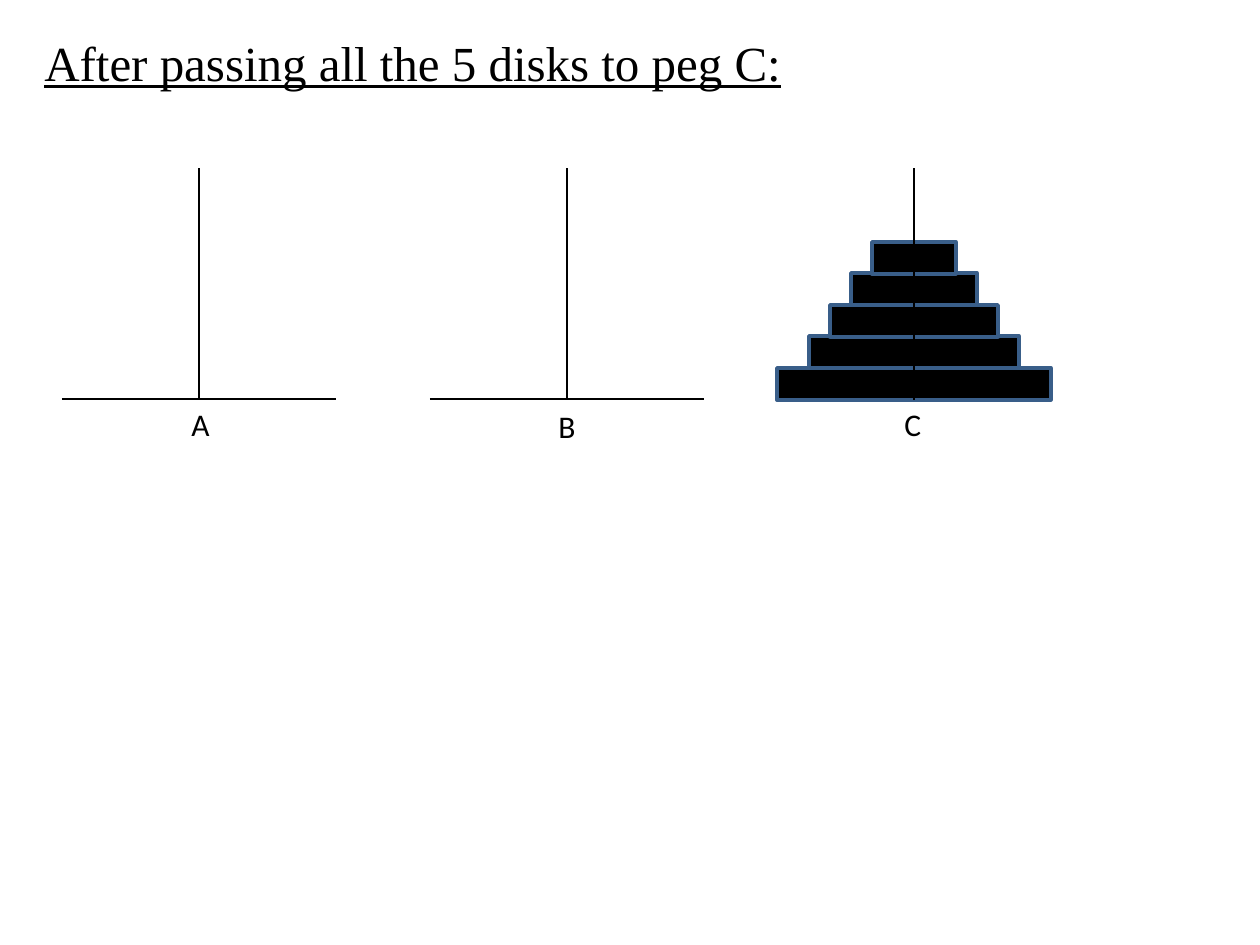
"""Build a slide showing five disks stacked on peg C of three pegs."""
from pptx import Presentation, util as u
from pptx.dml.color import RGBColor
from pptx.enum import shapes, text
from pptx.oxml.ns import qn
from lxml import etree

BLACK = RGBColor(0x00, 0x00, 0x00)
DISK_EDGE = RGBColor(0x39, 0x5E, 0x89)
PEG_TOP, BASE = 168, 400
BASE_WIDTH = 274
PEG_A, PEG_B, PEG_C = 199, 567, 914
DISK_WIDTHS = (BASE_WIDTH, 210, 168, 126, 84)


def px(length):
    return u.Emu(round(length * 914400 / 126))


def add_text(slide, box, wording, size, font_name, underline=False):
    shape = slide.shapes.add_textbox(*map(px, box))
    frame = shape.text_frame
    frame.word_wrap = True
    run = frame.paragraphs[0].add_run()
    run.text = wording
    run.font.size = u.Pt(size)
    run.font.name = font_name
    run.font.underline = underline
    run.font.color.rgb = BLACK
    return shape


def add_line(slide, start, end):
    line = slide.shapes.add_connector(
        shapes.MSO_CONNECTOR.STRAIGHT, *map(px, start + end))
    line.line.color.rgb = BLACK
    line.line.width = u.Pt(0.75)
    etree.SubElement(line._element.spPr, qn("a:effectLst"))
    return line


def add_disk(slide, center, level, width):
    top = BASE - 1 - level * 63 // 2
    disk = slide.shapes.add_shape(
        shapes.MSO_SHAPE.RECTANGLE,
        *map(px, (center - width // 2, top, width, 32)))
    disk.shadow.inherit = False
    disk.fill.solid()
    disk.fill.fore_color.rgb = BLACK
    disk.line.color.rgb = DISK_EDGE
    disk.line.width = u.Pt(2)
    return disk


def add_peg(slide, center):
    return add_line(slide, (center, BASE), (center, PEG_TOP))


def add_base(slide, center):
    half = BASE_WIDTH // 2
    add_line(slide, (center - half, BASE - 1), (center + half, BASE - 1))


def add_label(slide, left, top, letter):
    label = add_text(slide, (left, top, 32, 50), letter, 18, "Calibri")
    label.text_frame.auto_size = text.MSO_AUTO_SIZE.SHAPE_TO_FIT_TEXT


def main():
    presentation = Presentation()
    presentation.slide_width = px(1260)
    presentation.slide_height = px(945)
    slide = presentation.slides.add_slide(presentation.slide_layouts[6])

    add_text(slide, (32, 26, 1207, 898),
             "After passing all the 5 disks to peg C:",
             28, "Times New Roman", underline=True)
    disks = [add_disk(slide, PEG_C, level, width)
             for level, width in enumerate(DISK_WIDTHS, start=1)]
    for center in (PEG_A, PEG_B):
        add_peg(slide, center)
        add_base(slide, center)
    add_peg(slide, PEG_C).begin_connect(disks[0], 2)
    for left, top, letter in ((179, 399, "A"), (546, 401, "B"), (892, 399, "C")):
        add_label(slide, left, top, letter)

    presentation.save("out.pptx")


if __name__ == "__main__":
    main()
